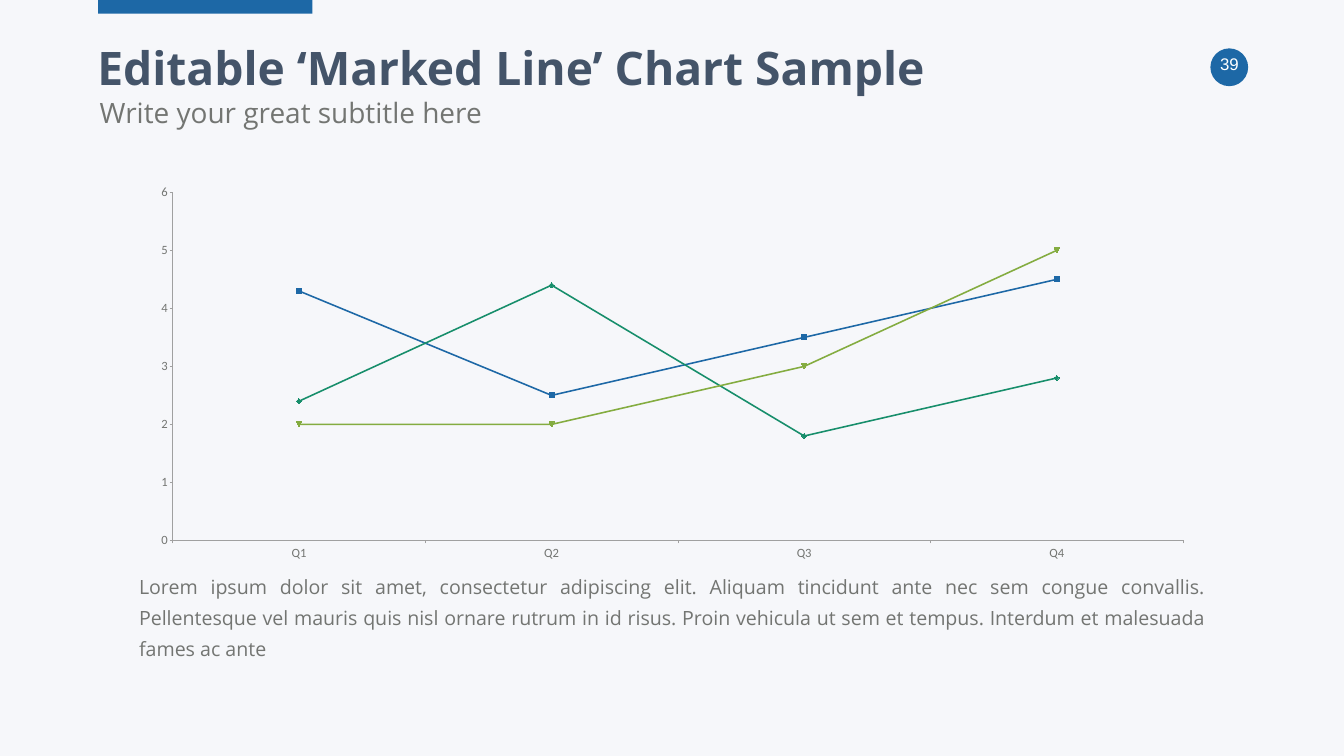
from typing import NamedTuple

import pptx
import pptx.chart.data
import pptx.dml.color
import pptx.enum.chart
import pptx.enum.shapes
import pptx.enum.text
import pptx.util

RGBColor = pptx.dml.color.RGBColor
PP_ALIGN = pptx.enum.text.PP_ALIGN
MSO_ANCHOR = pptx.enum.text.MSO_ANCHOR
MSO_SHAPE = pptx.enum.shapes.MSO_SHAPE

BACKGROUND = RGBColor(0xF6, 0xF7, 0xFA)
BLUE = RGBColor(0x1D, 0x68, 0xA6)
TEAL = RGBColor(0x17, 0x8E, 0x6B)
GREEN = RGBColor(0x84, 0xAC, 0x40)
NAVY = RGBColor(0x44, 0x54, 0x69)
GREY = RGBColor(0x73, 0x75, 0x72)
AXIS = RGBColor(0xA0, 0xA0, 0xA0)
WHITE = RGBColor(0xFF, 0xFF, 0xFF)

WIDTH, HEIGHT = pptx.util.Inches(26.67), pptx.util.Inches(15)

BODY = (
    "Lorem ipsum dolor sit amet, consectetur adipiscing elit. Aliquam tincidunt "
    "ante nec sem congue convallis. Pellentesque vel mauris quis nisl ornare "
    "rutrum in id risus. Proin vehicula ut sem et tempus. Interdum et malesuada "
    "fames ac ante"
)


class Box(NamedTuple):
    """Left, top, width and height in percent of the slide."""

    left: float
    top: float
    width: float
    height: float

    def emu(self) -> tuple[int, ...]:
        sides = (WIDTH, HEIGHT, WIDTH, HEIGHT)
        return tuple(round(share * side / 100) for share, side in zip(self, sides))


class Series(NamedTuple):
    """One line of the chart."""

    name: str
    values: tuple[float, ...]
    color: RGBColor


QUARTERS = ("Q1", "Q2", "Q3", "Q4")
SERIES = (
    Series("Series 1", (4.3, 2.5, 3.5, 4.5), BLUE),
    Series("Series 2", (2.4, 4.4, 1.8, 2.8), TEAL),
    Series("Series 3", (2, 2, 3, 5), GREEN),
)


def add_block(s, kind, box: Box, color: RGBColor) -> None:
    """Draw a filled shape without outline."""
    shape = s.shapes.add_shape(kind, *box.emu())
    shape.shadow.inherit = False
    shape.fill.solid()
    shape.fill.fore_color.rgb = color
    shape.line.fill.background()


def add_text(s, text: str, box: Box, *, size: float, color: RGBColor = GREY,
             font: str = "Open Sans", bold: bool = False, align=PP_ALIGN.LEFT,
             anchor=MSO_ANCHOR.TOP, spacing: float = 1.0,
             inset: tuple[float, float] = (0.1, 0.05), grow: bool = False) -> None:
    """Draw a wrapped text box holding one paragraph."""
    tf = s.shapes.add_textbox(*box.emu()).text_frame
    tf.word_wrap = True
    tf.vertical_anchor = anchor
    tf.margin_left = tf.margin_right = pptx.util.Inches(inset[0])
    tf.margin_top = tf.margin_bottom = pptx.util.Inches(inset[1])
    if grow:
        tf.auto_size = pptx.enum.text.MSO_AUTO_SIZE.SHAPE_TO_FIT_TEXT
    p = tf.paragraphs[0]
    p.alignment = align
    p.line_spacing = spacing
    r = p.add_run()
    r.text = text
    r.font.name = font
    r.font.size = pptx.util.Pt(size)
    r.font.bold = bold
    r.font.color.rgb = color


def add_line_chart(s, box: Box) -> None:
    """Draw the marked line chart."""
    data = pptx.chart.data.CategoryChartData()
    data.categories = QUARTERS
    for series in SERIES:
        data.add_series(series.name, series.values)
    kind = pptx.enum.chart.XL_CHART_TYPE.LINE_MARKERS
    chart = s.shapes.add_chart(kind, *box.emu(), data).chart
    chart.has_legend = False
    chart.has_title = False
    chart.font.name = "Calibri"
    chart.font.size = pptx.util.Pt(18)
    chart.font.color.rgb = GREY
    chart.plots[0].vary_by_categories = False
    for axis in (chart.category_axis, chart.value_axis):
        axis.has_major_gridlines = False
        axis.major_tick_mark = pptx.enum.chart.XL_TICK_MARK.OUTSIDE
        axis.minor_tick_mark = pptx.enum.chart.XL_TICK_MARK.NONE
        axis.format.line.color.rgb = AXIS
        axis.format.line.width = pptx.util.Pt(0.75)
    chart.value_axis.minimum_scale = 0
    chart.value_axis.maximum_scale = 6
    chart.value_axis.major_unit = 1
    for line, series in zip(chart.plots[0].series, SERIES):
        line.smooth = False
        line.format.line.color.rgb = series.color
        line.format.line.width = pptx.util.Pt(2.25)
        line.marker.size = 7
        line.marker.format.fill.solid()
        line.marker.format.fill.fore_color.rgb = series.color
        line.marker.format.line.color.rgb = series.color


def main() -> None:
    """Build and save the slide."""
    prs = pptx.Presentation()
    prs.slide_width, prs.slide_height = WIDTH, HEIGHT
    s = prs.slides.add_slide(prs.slide_layouts[6])
    s.background.fill.solid()
    s.background.fill.fore_color.rgb = BACKGROUND

    add_block(s, MSO_SHAPE.OVAL, Box(90.06, 6.4, 2.81, 5), BLUE)
    add_text(s, "39", Box(89.28, 6.8, 4.39, 5.33), size=24, color=WHITE,
             font="Arial", align=PP_ALIGN.CENTER)
    add_block(s, MSO_SHAPE.RECTANGLE, Box(7.31, 0, 15.94, 1.8), BLUE)
    add_line_chart(s, Box(10.42, 23.4, 79.19, 51.8))
    add_text(s, "Editable ‘Marked Line’ Chart Sample", Box(7.05, 4.93, 85.86, 8.27),
             size=66, color=NAVY, bold=True, inset=(0.05, 0.05))
    add_text(s, "Write your great subtitle here", Box(7.05, 12.27, 85.86, 6.2), size=40)
    add_text(s, BODY, Box(9.22, 76.2, 81.55, 10.07), size=28, align=PP_ALIGN.JUSTIFY,
             anchor=MSO_ANCHOR.MIDDLE, spacing=1.3, inset=(0.3, 0.15), grow=True)

    prs.save("out.pptx")


if __name__ == "__main__":
    main()
